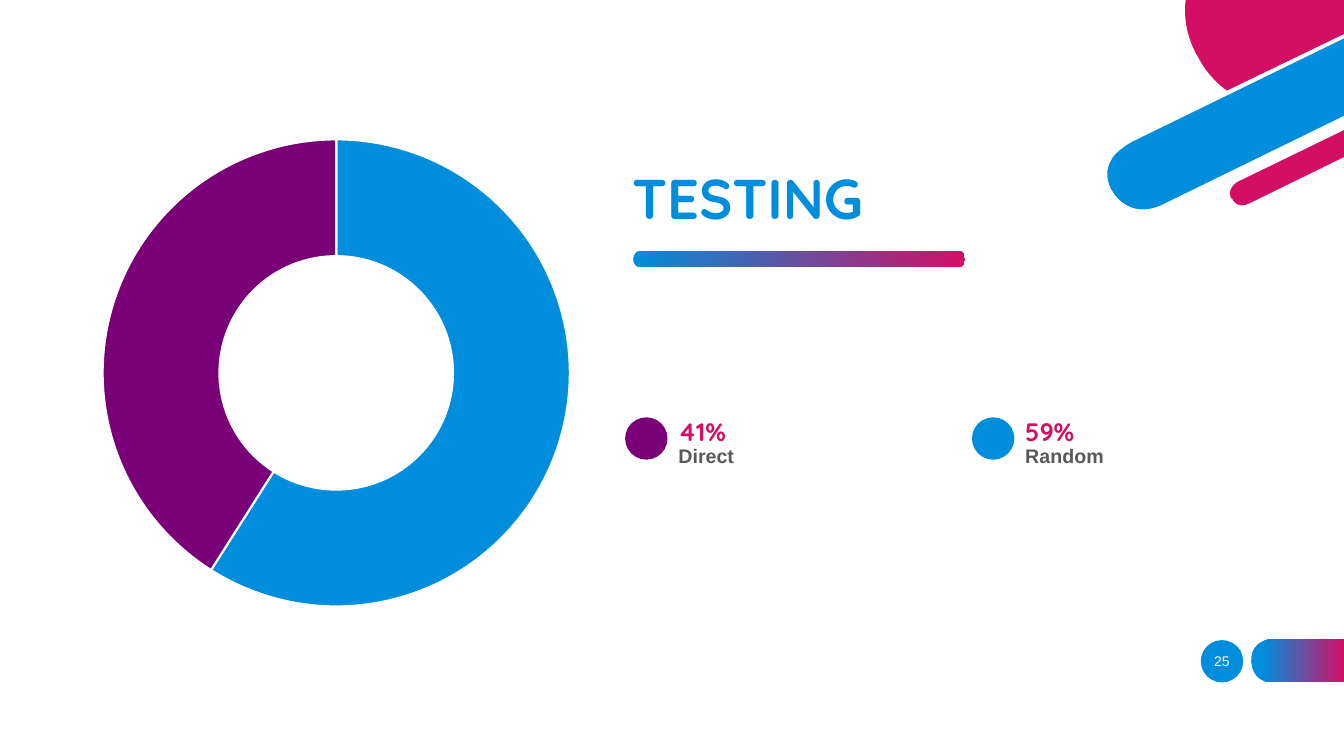
from dataclasses import dataclass

from lxml import etree
from pptx import Presentation
from pptx import util as u
from pptx.chart import data as cd
from pptx.dml import color as col
from pptx.enum import chart, shapes, text
from pptx.oxml import ns


@dataclass(frozen=True)
class Theme:
    """Colours, fonts and type sizes."""
    blue: str = "008EDC"
    pink: str = "D30F64"
    purple: str = "7A0078"
    grey: str = "595959"
    white: str = "FFFFFF"
    head: str = "Quicksand"
    body: str = "Arial"
    title: int = 40
    value: int = 18
    label: int = 14
    small: int = 10


def cells(n):
    """Length of n grid cells, each a tenth of an inch."""
    return u.Inches(n / 10)


def rgb(code):
    """Colour object for a hex code."""
    return col.RGBColor.from_string(code)


class Deck:
    """Style and current slide, with one method per kind of element."""

    def __init__(self, prs, theme):
        """Add a blank slide to draw on."""
        self.th = theme
        self.s = prs.slides.add_slide(prs.slide_layouts[6])

    def paint(self, sp, fill, start=0):
        """Fill flat, or with the blue to pink gradient when fill is None."""
        sp.shadow.inherit = False
        sp.line.fill.background()
        if fill:
            sp.fill.solid()
            sp.fill.fore_color.rgb = rgb(fill)
            return
        sp.fill.gradient()
        sp.fill.gradient_angle = 0
        ends = ((start, self.th.blue), (1, self.th.pink))
        for stop, (position, code) in zip(sp.fill.gradient_stops, ends):
            stop.position = position
            stop.color.rgb = rgb(code)

    def dot(self, x, y, fill):
        """Round marker."""
        oval = shapes.MSO_SHAPE.OVAL
        self.paint(self.s.shapes.add_shape(oval, *map(cells, (x, y, 4.2, 4.2))), fill)

    def outline(self, steps, fill, start=0):
        """Closed freeform whose six-number steps are cubic curves."""
        first, *rest = [(cells(step[i]), cells(step[i + 1]))
                        for step in steps for i in range(0, len(step), 2)]
        fb = self.s.shapes.build_freeform(*first)
        fb.add_line_segments(rest, close=True)
        sp = fb.convert_to_shape()
        lines = iter(sp._element.findall(".//" + ns.qn("a:lnTo")))
        for step in steps[1:]:
            line = next(lines)
            if len(step) == 6:
                line.tag = ns.qn("a:cubicBezTo")
                for extra in (next(lines), next(lines)):
                    line.append(extra[0])
                    extra.getparent().remove(extra)
        self.paint(sp, fill, start)

    def words(self, box, content, size, code, font=None, bold=True,
              anchor=text.MSO_ANCHOR.TOP, align=text.PP_ALIGN.LEFT, spacing=0.9):
        """Single-paragraph text box."""
        tf = self.s.shapes.add_textbox(*map(cells, box)).text_frame
        tf.word_wrap = True
        tf.vertical_anchor = anchor
        tf.text = content
        p = tf.paragraphs[0]
        p.alignment, p.line_spacing = align, spacing
        f = p.runs[0].font
        f.name, f.size, f.bold = font or self.th.body, u.Pt(size), bold
        f.color.rgb = rgb(code)

    def ring(self, box, slices):
        """Doughnut chart from (value, colour) slices."""
        data = cd.CategoryChartData()
        data.categories = [str(i + 1) for i in range(len(slices))]
        data.add_series("Series 1", [value for value, _ in slices])
        kind = chart.XL_CHART_TYPE.DOUGHNUT
        ch = self.s.shapes.add_chart(kind, *map(cells, box), data).chart
        ch.has_legend = ch.has_title = False
        ch.font.name, ch.font.size = self.th.body, u.Pt(self.th.small)
        plot = ch.plots[0]
        plot.has_data_labels = False
        plot.vary_by_categories = True
        for i, (_, code) in enumerate(slices):
            fmt = plot.series[0].points[i].format
            fmt.fill.solid()
            fmt.fill.fore_color.rgb = rgb(code)
            fmt.line.color.rgb = rgb(self.th.white)
            fmt.line.width = u.Pt(1.5)
        area = ch._chartSpace.find(".//" + ns.qn("c:plotArea"))
        area.find(".//" + ns.qn("c:holeSize")).set("val", "52")
        for old in area.findall(ns.qn("c:layout")):
            area.remove(old)
        layout = etree.Element(ns.qn("c:layout"))
        area.insert(0, layout)
        manual = etree.SubElement(layout, ns.qn("c:manualLayout"))
        settings = (("layoutTarget", "inner"), ("xMode", "edge"), ("yMode", "edge"),
                    ("x", "0.03"), ("y", "0.03"), ("w", "0.94"), ("h", "0.94"))
        for tag, val in settings:
            etree.SubElement(manual, ns.qn("c:" + tag)).set("val", val)

    def key(self, x, fill, value, label):
        """Legend entry: marker, share and name."""
        th = self.th
        self.dot(x, 41.4, fill)
        self.words((x + 4.3, 40.8, 17.5, 4), value, th.value, th.pink, th.head,
                   anchor=text.MSO_ANCHOR.BOTTOM)
        self.words((x + 4.3, 43.8, 17.5, 4), label, th.label, th.grey)


def corner(d):
    """Draw the slanted bars of the top right corner."""
    th = d.th
    disc_rim = [(133.3, 8.1), (130.6, 9.4), (127.4, 11, 124.4, 10.8, 121.9, 8.9),
                (119.9, 7.4, 118.9, 5.5, 118.9, 5.5), (118.8, 5.2),
                (117.9, 3.4, 117.5, 1.6, 117.8, 0), (117.4, 0),
                (117.1, 1.7, 117.5, 3.5, 118.4, 5.4), (118.6, 5.7),
                (118.6, 5.8, 119.6, 7.7, 121.6, 9.2),
                (122.8, 10.1, 124.4, 10.9, 126.5, 10.9),
                (127.7, 10.9, 129.1, 10.6, 130.8, 9.8), (133.3, 8.6)]
    wide_bar = [(112.1, 13.9), (112.1, 13.9, 108.5, 15.7, 110.1, 18.9), (110.1, 19),
                (110.1, 19, 111.7, 22.2, 115.4, 20.4), (133.3, 11.7), (133.3, 3.6)]
    disc = [(118.8, 5.6), (118.8, 5.6, 119.7, 7.6, 121.7, 9), (133.3, 3.4), (133.3, 0),
            (117.6, 0), (117.4, 1.5, 117.6, 3.3, 118.6, 5.3)]
    thin_bar = [(133.3, 12.6), (122.7, 17.8), (122.7, 17.8, 121.3, 18.5, 122, 19.7),
                (122, 19.8), (122, 19.8, 122.6, 21.1, 124, 20.4), (133.3, 15.8)]
    thin_rim = [(123.9, 20.2), (122.7, 20.8, 122.2, 19.8, 122.2, 19.7), (122.1, 19.7),
                (121.6, 18.6, 122.8, 18, 122.8, 18), (133.3, 12.9), (133.3, 12.4),
                (122.6, 17.6), (122.6, 17.6, 121.9, 18, 121.7, 18.7),
                (121.5, 19.1, 121.6, 19.5, 121.8, 19.9),
                (122, 20.3, 122.5, 20.8, 123.2, 20.8),
                (123.5, 20.8, 123.8, 20.8, 124.1, 20.6), (133.3, 16.1), (133.3, 15.6)]
    wide_rim = [(115.3, 20.3), (111.9, 21.9, 110.3, 19, 110.3, 18.9), (110.2, 18.8),
                (109.6, 17.5, 109.7, 16.4, 110.6, 15.3),
                (111.3, 14.6, 112.2, 14.1, 112.2, 14.1), (133.3, 3.8), (133.3, 3.4),
                (112, 13.7), (111.9, 13.8, 110.2, 14.6, 109.6, 16.3),
                (109.3, 17.1, 109.4, 18, 109.9, 19), (109.9, 19.1),
                (109.9, 19.1, 111, 21.2, 113.3, 21.2),
                (113.9, 21.2, 114.6, 21, 115.4, 20.6), (133.3, 11.9), (133.3, 11.5)]
    for steps, fill in ((disc_rim, th.white), (wide_bar, th.blue), (disc, th.pink),
                        (thin_bar, th.pink), (thin_rim, th.white), (wide_rim, th.white)):
        d.outline(steps, fill)


def main():
    """Build the slide and save it."""
    prs = Presentation()
    prs.slide_width, prs.slide_height = u.Inches(13.33), u.Inches(7.5)
    th = Theme()
    d = Deck(prs, th)
    d.dot(119.1, 63.5, th.blue)
    tab = [(126.2, 67.7), (133.3, 67.7), (133.3, 63.4), (126.2, 63.4),
           (126.2, 63.4, 124.1, 63.4, 124.1, 65.5), (124.1, 65.6),
           (124.1, 65.6, 124.1, 67.7, 126.2, 67.7)]
    d.outline(tab, None, 0.12)
    corner(d)
    rule = [(95, 26.5), (63.5, 26.5), (63.1, 26.5, 62.8, 26.2, 62.8, 25.7),
            (62.8, 25.3, 63.1, 24.9, 63.5, 24.9), (95, 24.9),
            (95.4, 24.9, 95.7, 25.3, 95.7, 25.7), (95.7, 26.2, 95.4, 26.5, 95, 26.5)]
    d.outline(rule, None)
    d.ring((8.7, 11.9, 49.3, 50.2), ((59, th.blue), (41, th.purple)))
    d.words((61.7, 16.1, 48.1, 7.4), "TESTING", th.title, th.blue, th.head,
            anchor=text.MSO_ANCHOR.BOTTOM)
    d.key(96.4, th.blue, "59%", "Random")
    d.key(62, th.purple, "41%", "Direct")
    d.words((118.2, 63.6, 6, 4), "25", th.small, th.white, bold=False, spacing=1,
            anchor=text.MSO_ANCHOR.MIDDLE, align=text.PP_ALIGN.CENTER)
    prs.save("out.pptx")


if __name__ == "__main__":
    main()
